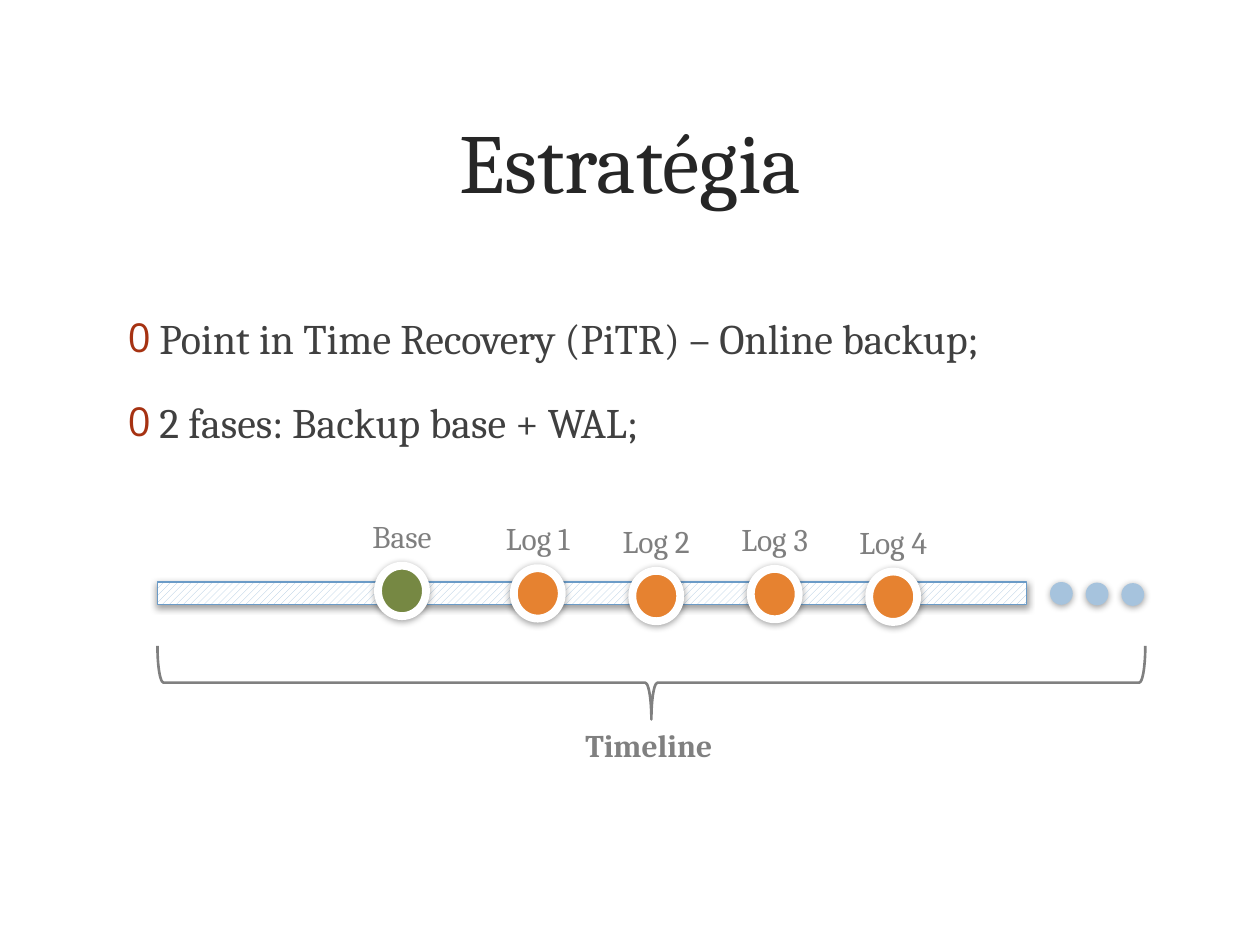
import pptx
import pptx.util
import pptx.dml.color
import pptx.enum.dml
import pptx.enum.shapes
import pptx.enum.text
import pptx.oxml
import pptx.oxml.ns

Pt = pptx.util.Pt
SHAPE = pptx.enum.shapes.MSO_SHAPE
ALIGN = pptx.enum.text.PP_ALIGN
ANCHOR = pptx.enum.text.MSO_ANCHOR
NS = pptx.oxml.ns.nsdecls("a")

FONT = "Cambria"
COLORS = {
    "title": "262626", "body": "404040", "bullet": "A63212",
    "label": "7F7F7F", "brace": "808080", "white": "FFFFFF",
    "base": "768843", "log": "E68230", "dot": "A6C3DD", "bar_line": "6B9BC7",
}


def rgb(name):
    return pptx.dml.color.RGBColor.from_string(COLORS[name])


def add_run(p, text, size, color, **formats):
    r = p.add_run()
    r.text = text
    for name, value in {"name": FONT, "size": Pt(size), **formats}.items():
        setattr(r.font, name, value)
    r.font.color.rgb = rgb(color)


def add_text_box(slide, x, y, w, h, **formats):
    tf = slide.shapes.add_textbox(Pt(x), Pt(y), Pt(w), Pt(h)).text_frame
    for name, value in {"word_wrap": True, **formats}.items():
        setattr(tf, name, value)
    return tf


def add_shape(slide, kind, x, y, w, h, fill=None, line=None, line_width=0):
    sp = slide.shapes.add_shape(kind, Pt(x), Pt(y), Pt(w), Pt(h))
    sp.shadow.inherit = False
    if fill:
        sp.fill.solid()
        sp.fill.fore_color.rgb = rgb(fill)
    else:
        sp.fill.background()
    if line:
        sp.line.color.rgb = rgb(line)
        sp.line.width = Pt(line_width)
    else:
        sp.line.fill.background()
    return sp


def add_soft_shadow(sp):
    effects = sp._element.spPr.find(pptx.oxml.ns.qn("a:effectLst"))
    effects.append(pptx.oxml.parse_xml(
        f'<a:outerShdw {NS} blurRad="{Pt(4)}" dist="{Pt(1)}" dir="5400000" '
        'rotWithShape="0"><a:srgbClr val="000000"><a:alpha val="37000"/>'
        '</a:srgbClr></a:outerShdw>'))


def add_bullet(p):
    pPr = p._p.get_or_add_pPr()
    pPr.set("marL", str(Pt(18)))
    pPr.set("indent", str(-Pt(18)))
    for xml in (
        f'<a:buClr {NS}><a:srgbClr val="{COLORS["bullet"]}"/></a:buClr>',
        f'<a:buSzPct {NS} val="95000"/>',
        f'<a:buFont {NS} typeface="Open Sans"/>',
        f'<a:buChar {NS} char="0"/>',
    ):
        pPr.append(pptx.oxml.parse_xml(xml))


def add_title(slide, x, y, w, h, text):
    tf = add_text_box(slide, x, y, w, h, vertical_anchor=ANCHOR.MIDDLE)
    p = tf.paragraphs[0]
    p.alignment = ALIGN.CENTER
    add_run(p, text, 48, "title")


def add_bullets(slide, x, y, w, h, lines):
    tf = add_text_box(slide, x, y, w, h)
    for i, line in enumerate(lines):
        p = tf.add_paragraph() if i else tf.paragraphs[0]
        p.line_spacing = 1.5
        p.space_before = Pt(4.8)
        add_bullet(p)
        add_run(p, line, 24, "body")


def add_label(slide, center, y, text, color, **formats):
    width = 90
    tf = add_text_box(slide, center - width / 2, y, width, 29, word_wrap=False)
    p = tf.paragraphs[0]
    p.alignment = ALIGN.CENTER
    add_run(p, text, 18, color, **formats)


def add_milestone(slide, x, y, text, fill):
    """Label above a ringed circle; x, y is the circle's top left."""
    w, h = 27.4, 28.8
    add_soft_shadow(add_shape(slide, SHAPE.OVAL, x, y, w, h, fill, "white", 4.5))
    add_label(slide, x + w / 2, y - 31.5, text, "label")


def add_timeline(slide, x, y, w, h):
    bar_y, bar_h = y + 41, 13
    bar = add_shape(slide, SHAPE.RECTANGLE, x, bar_y, 496.8, bar_h,
                    line="bar_line", line_width=0.75)
    bar.fill.patterned()
    bar.fill.pattern = pptx.enum.dml.MSO_PATTERN.WIDE_UPWARD_DIAGONAL
    bar.fill.fore_color.rgb = rgb("dot")
    bar.fill.back_color.rgb = rgb("white")
    add_soft_shadow(bar)

    # The brace is drawn upright about its centre, then turned to point down.
    depth, mid_x, mid_y = 42, x + w / 2, y + 98.5
    brace = add_shape(slide, SHAPE.LEFT_BRACE, mid_x - depth / 2, mid_y - w / 2,
                      depth, w, line="brace", line_width=1.5)
    brace.rotation = 270
    add_label(slide, mid_x - 1.5, y + h - 29, "Timeline", "brace", bold=True)

    add_milestone(slide, x + 126, y + 31.7, "Base", "base")
    for i, rise in enumerate((33.1, 34.6, 33.5, 35)):
        add_milestone(slide, x + 203.6 + i * 67.7, y + rise, f"Log {i + 1}", "log")

    for i in range(3):
        add_soft_shadow(add_shape(slide, SHAPE.OVAL, x + 510 + i * 20.4,
                                  bar_y + i * 0.3, bar_h, bar_h, "dot"))


def main():
    prs = pptx.Presentation()
    prs.slide_width, prs.slide_height = Pt(720), Pt(540)
    slide = prs.slides.add_slide(prs.slide_layouts[6])
    add_title(slide, 43.5, 34.5, 633, 114, "Estratégia")
    add_bullets(slide, 66, 160.5, 588, 311, (
        "Point in Time Recovery (PiTR) – Online backup;",
        "2 fases: Backup base + WAL;",
    ))
    add_timeline(slide, 90, 291.6, 564.5, 148.5)
    prs.save("out.pptx")


if __name__ == "__main__":
    main()
